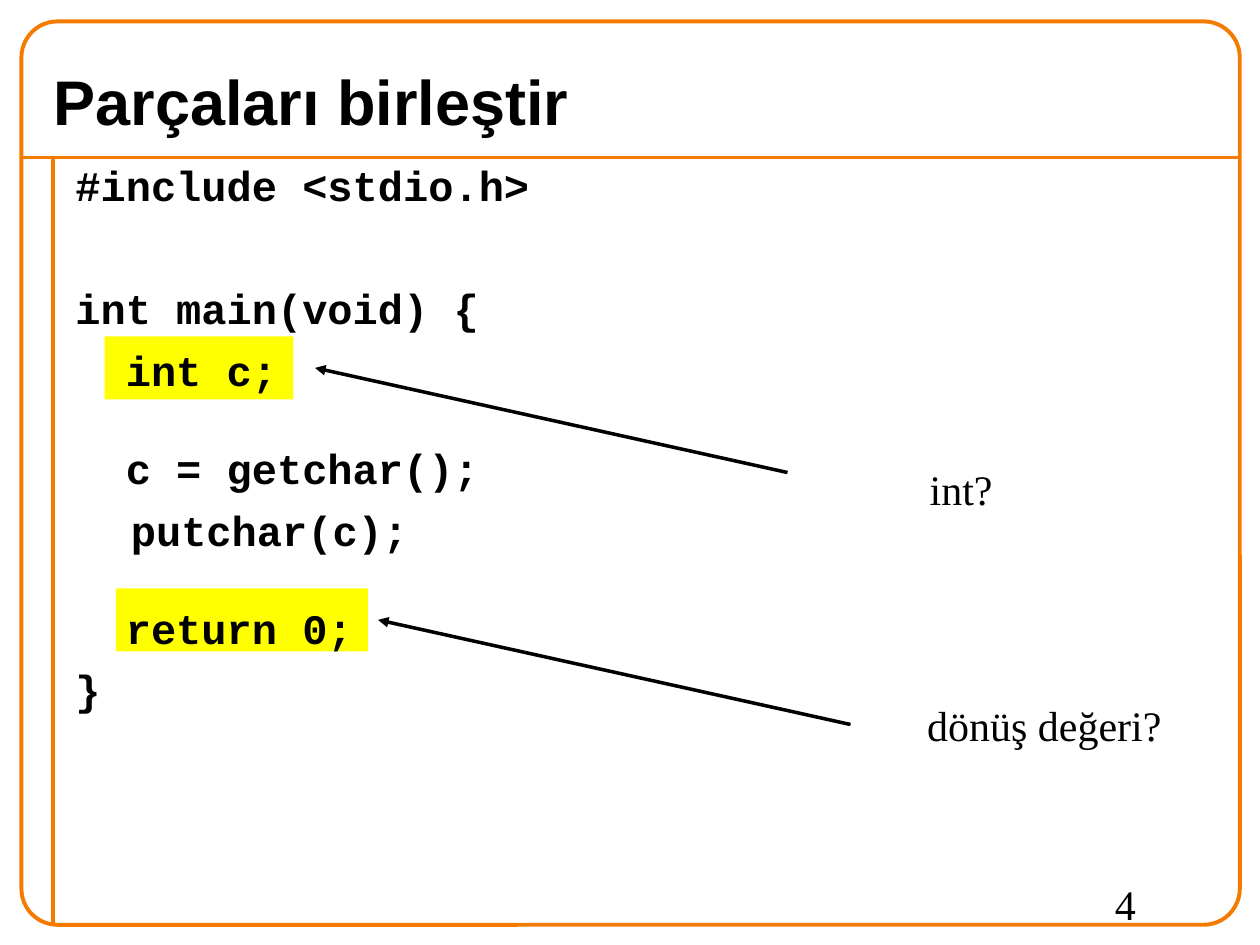
from lxml import etree
from pptx import Presentation
from pptx.dml.color import RGBColor
from pptx.enum.shapes import MSO_CONNECTOR, MSO_SHAPE
from pptx.enum.text import MSO_ANCHOR
from pptx.oxml.ns import qn
from pptx.util import Inches, Pt

ORANGE = RGBColor(0xF4, 0x7A, 0x00)
YELLOW = RGBColor(0xFF, 0xFF, 0x00)
BLACK = RGBColor(0, 0, 0)

# text, indent in inches, space before in points
CODE = [
    ("#include <stdio.h>", 0, 15),
    ("int main(void) {", 0, 50),
    ("int c;", 0.4, 15),
    ("c = getchar();", 0.4, 36),
    ("putchar(c);", 0.44, 15),
    ("return 0;", 0.4, 36),
    ("}", 0, 15),
]


def add_line(s, x1, y1, x2, y2, color, width, arrow=False):
    ln = s.shapes.add_connector(MSO_CONNECTOR.STRAIGHT, Inches(x1), Inches(y1),
                                Inches(x2), Inches(y2))
    ln.line.color.rgb = color
    ln.line.width = Pt(width)
    if arrow:
        etree.SubElement(ln.line._get_or_add_ln(), qn("a:tailEnd"), type="triangle")
    etree.SubElement(ln._element.spPr, qn("a:effectLst"))


def style(p, font, size, bold=False):
    p.font.name = font
    p.font.size = Pt(size)
    p.font.bold = bold
    p.font.color.rgb = BLACK


def add_text(s, x, y, w, h, text, font="Times New Roman", size=24, bold=False, wrap=True):
    tf = s.shapes.add_textbox(Inches(x), Inches(y), Inches(w), Inches(h)).text_frame
    tf.word_wrap = wrap
    p = tf.paragraphs[0]
    p.text = text
    style(p, font, size, bold)
    return tf


def add_frame(s, x, y, w, h):
    """Rounded border with a rule under the title and one beside the body."""
    rule_y = y + 1.08
    rail_x = x + 0.25
    add_line(s, x, rule_y, x + w, rule_y, ORANGE, 2.25)
    add_line(s, rail_x, rule_y, rail_x, y + h, ORANGE, 2.25)
    sp = s.shapes.add_shape(MSO_SHAPE.ROUNDED_RECTANGLE, Inches(x), Inches(y),
                            Inches(w), Inches(h))
    sp.adjustments[0] = 0.04
    sp.shadow.inherit = False
    sp.fill.background()
    sp.line.color.rgb = ORANGE
    sp.line.width = Pt(2.25)


def add_callout(s, x, y, w, h, tip_x, label, label_box):
    """Highlight behind a code line, with an arrow pointing to it and a label."""
    sp = s.shapes.add_shape(MSO_SHAPE.RECTANGLE, Inches(x), Inches(y), Inches(w), Inches(h))
    sp.shadow.inherit = False
    sp.fill.solid()
    sp.fill.fore_color.rgb = YELLOW
    sp.line.fill.background()
    tip_y = y + h / 2
    add_line(s, tip_x + 3.75, tip_y + 0.83, tip_x, tip_y, BLACK, 2, arrow=True)
    add_text(s, *label_box, label, wrap=False)


def add_title(s, x, y, w, h):
    tf = add_text(s, x, y, w, h, "Parçaları birleştir", "Arial", 36, True)
    tf.vertical_anchor = MSO_ANCHOR.MIDDLE


def add_code(s, x, y, w, h):
    tf = s.shapes.add_textbox(Inches(x), Inches(y), Inches(w), Inches(h)).text_frame
    tf.word_wrap = True
    for i, (text, indent, before) in enumerate(CODE):
        p = tf.add_paragraph() if i else tf.paragraphs[0]
        p.text = text
        p.line_spacing = 0.7
        p.space_before = Pt(before)
        p._p.get_or_add_pPr().set("marL", str(Inches(indent)))
        style(p, "Courier New", 24, True)


def main():
    prs = Presentation()
    prs.slide_width, prs.slide_height = Inches(10), Inches(7.5)
    s = prs.slides.add_slide(prs.slide_layouts[6])
    add_frame(s, 0.17, 0.17, 9.67, 7.17)
    add_callout(s, 0.92, 4.67, 2, 0.5, 3, "dönüş değeri?", (7.26, 5.5, 2.06, 0.5))
    add_callout(s, 0.83, 2.67, 1.5, 0.5, 2.5, "int?", (7.28, 3.63, 0.7, 0.5))
    add_title(s, 0.33, 0.42, 9.33, 0.75)
    add_code(s, 0.5, 1.33, 9.25, 6)
    add_text(s, 8.75, 6.92, 1, 0.5, "4")
    prs.save("out.pptx")


if __name__ == "__main__":
    main()
